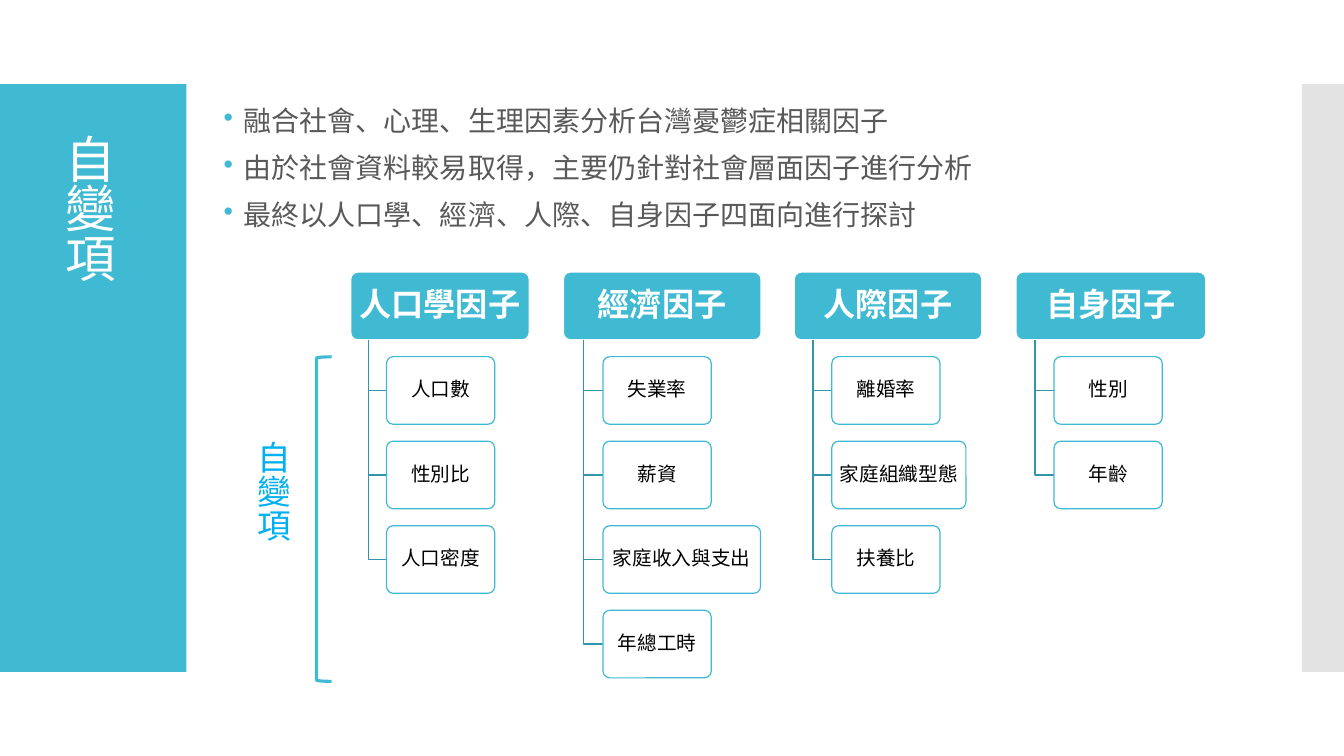
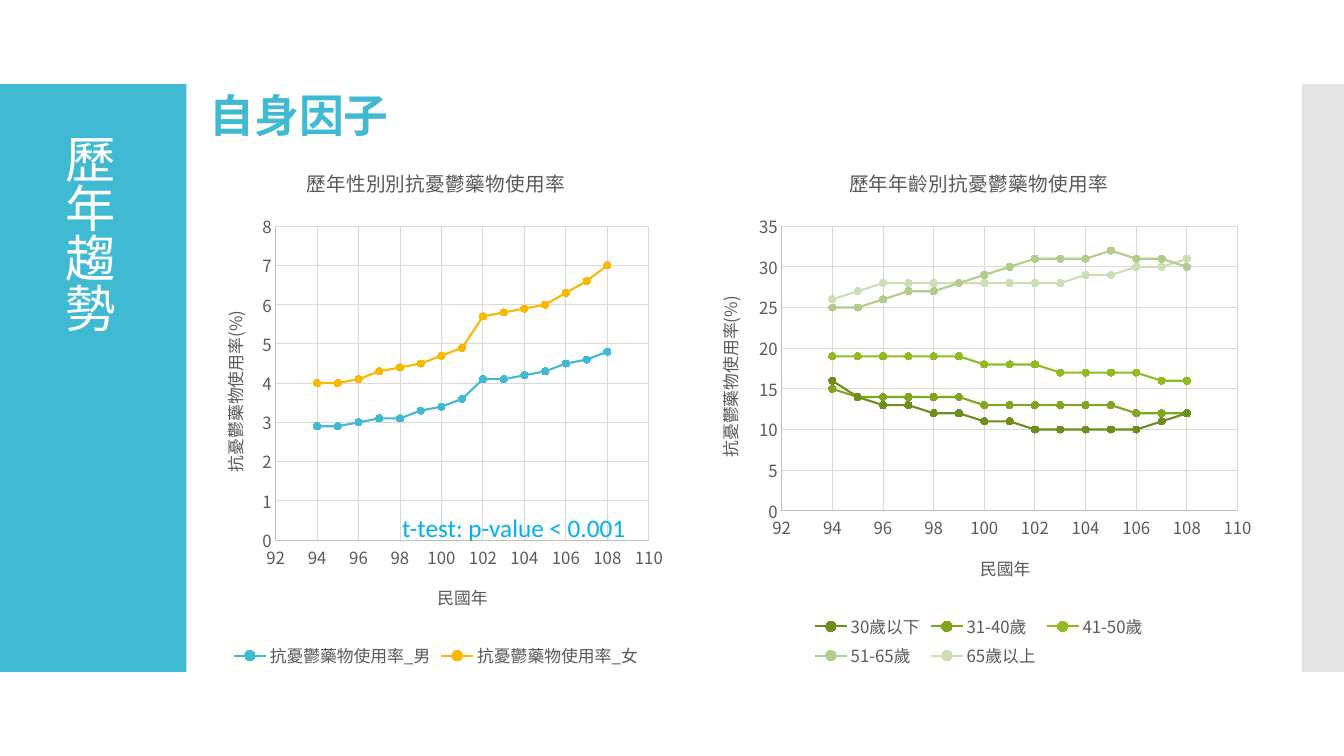
from lxml import etree
from pptx import Presentation
from pptx.chart.data import XyChartData
from pptx.dml.color import RGBColor
from pptx.enum.chart import XL_CHART_TYPE, XL_LEGEND_POSITION, XL_MARKER_STYLE, XL_TICK_MARK
from pptx.enum.shapes import MSO_SHAPE
from pptx.enum.text import MSO_ANCHOR, PP_ALIGN
from pptx.oxml.ns import qn
from pptx.util import Pt

RECTANGLE = MSO_SHAPE.RECTANGLE
ROUNDED = MSO_SHAPE.ROUNDED_RECTANGLE
BRACKET = MSO_SHAPE.LEFT_BRACKET
LEFT, CENTER = PP_ALIGN.LEFT, PP_ALIGN.CENTER
TOP, MIDDLE = MSO_ANCHOR.TOP, MSO_ANCHOR.MIDDLE
SMOOTH_SCATTER = XL_CHART_TYPE.XY_SCATTER_SMOOTH
LEGEND_BOTTOM = XL_LEGEND_POSITION.BOTTOM
CIRCLE = XL_MARKER_STYLE.CIRCLE
NO_TICK = XL_TICK_MARK.NONE

TEAL, DARK_TEAL, SKY, GOLD = "40BAD2", "3395A8", "00B0F0", "FAB900"
WHITE, BLACK, GRAY, BAND_GRAY = "FFFFFF", "000000", "595959", "C8C8C8"
AXIS_GRAY, GRID_GRAY = "BFBFBF", "D9D9D9"
TEXT_FONT, CHART_FONT = "Calibri", "Noto Sans CJK SC"


def color(value):
    """Turn a hex string into a colour."""
    return RGBColor.from_string(value)


def style_font(font, name, size, hex_color, bold=False):
    """Set the face, size, colour and weight of a font."""
    font.name, font.size, font.bold = name, Pt(size), bold
    font.color.rgb = color(hex_color)


def style_line(line, hex_color, width):
    """Set the colour and width of a line."""
    line.color.rgb = color(hex_color)
    line.width = Pt(width)


class Deck:
    """Holds the shared style and the current slide."""

    def __init__(self):
        """Start an empty widescreen presentation."""
        self.presentation = Presentation()
        self.presentation.slide_width = Pt(960)
        self.presentation.slide_height = Pt(540)
        self.slide = None

    def new_slide(self, title):
        """Add a slide with the side bands and a vertical title."""
        layout = self.presentation.slide_layouts[6]
        self.slide = self.presentation.slides.add_slide(layout)
        self.shape(RECTANGLE, 0, 60, 133.2, 420, fill=TEAL)
        self.shape(RECTANGLE, 930, 60, 30, 420, fill=BAND_GRAY, alpha=50)
        self.text(title, 18.7, 88.6, 84.2, 362.2, 36, WHITE, anchor=MIDDLE,
                  vertical=True, line_spacing=0.9, tracking=-0.6)

    def shape(self, kind, left, top, width, height, fill=None, line=None,
              line_width=0.85, alpha=None, adjust=None):
        """Add a preset shape."""
        shape = self.slide.shapes.add_shape(kind, Pt(left), Pt(top), Pt(width), Pt(height))
        shape.shadow.inherit = False
        if adjust is not None:
            shape.adjustments[0] = adjust
        if fill:
            shape.fill.solid()
            shape.fill.fore_color.rgb = color(fill)
        else:
            shape.fill.background()
        if alpha is not None:
            fill_color = shape._element.spPr.find(".//" + qn("a:srgbClr"))
            etree.SubElement(fill_color, qn("a:alpha"), val=str(alpha * 1000))
        if line:
            style_line(shape.line, line, line_width)
        else:
            shape.line.fill.background()
        return shape

    def run(self, paragraph, text, size, hex_color, bold=False, tracking=None):
        """Add one styled run to a paragraph."""
        run = paragraph.add_run()
        run.text = text
        style_font(run.font, TEXT_FONT, size, hex_color, bold)
        if tracking is not None:
            run._r.get_or_add_rPr().set("spc", str(round(tracking * 100)))

    def text(self, text, left, top, width, height, size, hex_color, bold=False,
             anchor=TOP, vertical=False, wrap=True, line_spacing=None, tracking=None):
        """Add a one-paragraph text box."""
        box = self.slide.shapes.add_textbox(Pt(left), Pt(top), Pt(width), Pt(height))
        frame = box.text_frame
        frame.word_wrap, frame.vertical_anchor = wrap, anchor
        if vertical:
            frame._txBody.bodyPr.set("vert", "eaVert")
        paragraph = frame.paragraphs[0]
        paragraph.alignment = LEFT
        paragraph.line_spacing = line_spacing
        self.run(paragraph, text, size, hex_color, bold, tracking)

    def bullets(self, lines, left, top, width, height):
        """Add a bulleted list."""
        box = self.slide.shapes.add_textbox(Pt(left), Pt(top), Pt(width), Pt(height))
        frame = box.text_frame
        frame.word_wrap, frame.vertical_anchor = True, MIDDLE
        for index, line in enumerate(lines):
            paragraph = frame.add_paragraph() if index else frame.paragraphs[0]
            paragraph.line_spacing, paragraph.space_before = 0.9, Pt(12)
            properties = paragraph._p.get_or_add_pPr()
            properties.set("marL", str(Pt(14.4)))
            properties.set("indent", str(-Pt(14.4)))
            bullet_color = etree.SubElement(properties, qn("a:buClr"))
            etree.SubElement(bullet_color, qn("a:srgbClr"), val=TEAL)
            etree.SubElement(properties, qn("a:buChar"), char="•")
            self.run(paragraph, line, 20, GRAY)

    def node(self, text, left, top, width, height, fill, line, size, hex_color, bold=False):
        """Add a rounded box with centred text."""
        shape = self.shape(ROUNDED, left, top, width, height, fill, line, adjust=0.1)
        frame = shape.text_frame
        frame.word_wrap, frame.vertical_anchor = True, MIDDLE
        frame.margin_left = frame.margin_right = Pt(2)
        frame.margin_top = frame.margin_bottom = Pt(2)
        paragraph = frame.paragraphs[0]
        paragraph.alignment, paragraph.line_spacing = CENTER, 0.9
        self.run(paragraph, text, size, hex_color, bold)

    def elbow(self, left, top, right, bottom):
        """Draw a line down and then to the right."""
        builder = self.slide.shapes.build_freeform(Pt(left), Pt(top))
        builder.add_line_segments(
            [(Pt(left), Pt(bottom)), (Pt(right), Pt(bottom))], close=False)
        shape = builder.convert_to_shape()
        shape.shadow.inherit = False
        shape.fill.background()
        style_line(shape.line, DARK_TEAL, 0.85)

    def branch(self, heading, left, width, leaves):
        """Add a heading with its leaves hanging below."""
        top, height, leaf_width = 194.4, 48.3, 77.3
        trunk, leaf_left = left + 0.1 * width, left + 0.2 * width
        self.node(heading, left, top, width, height, TEAL, WHITE, 23, WHITE, True)
        for row, (leaf, extra) in enumerate(leaves, 1):
            leaf_top = top + row * 1.25 * height
            self.elbow(trunk, top + height, leaf_left, leaf_top + height / 2)
            self.node(leaf, leaf_left, leaf_top, leaf_width + extra, height,
                      WHITE, TEAL, 14, BLACK)

    def chart_title(self, owner, text, size):
        """Write the title of a chart or an axis."""
        paragraph = owner.text_frame.paragraphs[0]
        run = paragraph.add_run()
        run.text = text
        style_font(run.font, CHART_FONT, size, GRAY)

    def axis(self, axis, title, low, high, step):
        """Scale and style one chart axis."""
        axis.minimum_scale, axis.maximum_scale, axis.major_unit = low, high, step
        axis.major_tick_mark = axis.minor_tick_mark = NO_TICK
        axis.has_major_gridlines = True
        style_line(axis.major_gridlines.format.line, GRID_GRAY, 0.75)
        style_line(axis.format.line, AXIS_GRAY, 0.75)
        style_font(axis.tick_labels.font, CHART_FONT, 12, GRAY)
        self.chart_title(axis.axis_title, title, 12)

    def scatter(self, title, left, width, high, step, series_rows):
        """Add a smooth scatter chart of usage rate by year."""
        data = XyChartData()
        for name, _, values in series_rows:
            series = data.add_series(name)
            for year, value in enumerate(values, 94):
                series.add_data_point(year, value)
        chart = self.slide.shapes.add_chart(
            SMOOTH_SCATTER, Pt(left), Pt(105.1), Pt(width), Pt(375.1), data).chart
        style_font(chart.font, CHART_FONT, 12, GRAY)
        chart.has_title = True
        self.chart_title(chart.chart_title, title, 14)
        chart.chart_title.include_in_layout = False
        chart.has_legend = True
        chart.legend.position = LEGEND_BOTTOM
        chart.legend.include_in_layout = False
        style_font(chart.legend.font, CHART_FONT, 12, GRAY)
        self.axis(chart.category_axis, "民國年", 92, 110, 2)
        self.axis(chart.value_axis, "抗憂鬱藥物使用率(%)", 0, high, step)
        plot = chart.plots[0]
        plot.vary_by_categories = False
        for series, (_, hex_color, _) in zip(plot.series, series_rows):
            series.smooth = True
            style_line(series.format.line, hex_color, 1.5)
            marker = series.marker
            marker.style, marker.size = CIRCLE, 5
            marker.format.fill.solid()
            marker.format.fill.fore_color.rgb = color(hex_color)
            style_line(marker.format.line, hex_color, 0.75)


def factor_slide(deck):
    """Build the slide of independent variables."""
    deck.new_slide("自變項")
    deck.bullets([
        "融合社會、心理、生理因素分析台灣憂鬱症相關因子",
        "由於社會資料較易取得，主要仍針對社會層面因子進行分析",
        "最終以人口學、經濟、人際、自身因子四面向進行探討",
    ], 152.6, 67.7, 727.9, 106.8)
    deck.branch("人口學因子", 250.6, 127.4,
                [("人口數", 0), ("性別比", 0), ("人口密度", 0)])
    deck.branch("經濟因子", 402.5, 141.1,
                [("失業率", 0), ("薪資", 0), ("家庭收入與支出", 35.3), ("年總工時", 0)])
    deck.branch("人際因子", 567.4, 133.9,
                [("離婚率", 0), ("家庭組織型態", 18.5), ("扶養比", 0)])
    deck.branch("自身因子", 725.8, 135.4, [("性別", 0), ("年齡", 0)])
    deck.shape(BRACKET, 226.1, 254.9, 10.8, 231.8, line=TEAL, line_width=2.25)
    deck.text("自變項", 169.2, 308.2, 43.9, 79.9, 24, SKY, vertical=True, wrap=False)


def trend_slide(deck):
    """Build the slide of yearly trends."""
    deck.new_slide("歷年趨勢")
    deck.scatter("歷年性別別抗憂鬱藥物使用率", 142.6, 337.7, 8, 1, [
        ("抗憂鬱藥物使用率_男", TEAL,
         [2.9, 2.9, 3, 3.1, 3.1, 3.3, 3.4, 3.6, 4.1, 4.1, 4.2, 4.3, 4.5, 4.6, 4.8]),
        ("抗憂鬱藥物使用率_女", GOLD,
         [4, 4, 4.1, 4.3, 4.4, 4.5, 4.7, 4.9, 5.7, 5.8, 5.9, 6, 6.3, 6.6, 7]),
    ])
    deck.scatter("歷年年齡別抗憂鬱藥物使用率", 496.1, 406.1, 35, 5, [
        ("30歲以下", "6D8E1B", [16, 14, 13, 13, 12, 12, 11, 11, 10, 10, 10, 10, 10, 11, 12]),
        ("31-40歲", "80A61F", [15, 14, 14, 14, 14, 14, 13, 13, 13, 13, 13, 13, 12, 12, 12]),
        ("41-50歲", "90BB23", [19, 19, 19, 19, 19, 19, 18, 18, 18, 17, 17, 17, 17, 16, 16]),
        ("51-65歲", "B2CD89", [25, 25, 26, 27, 27, 28, 29, 30, 31, 31, 31, 32, 31, 31, 30]),
        ("65歲以上", "CDDEB7", [26, 27, 28, 28, 28, 28, 28, 28, 28, 28, 29, 29, 30, 30, 31]),
    ])
    deck.text("自身因子", 142.6, 59, 149, 46.1, 32, TEAL, bold=True)
    deck.text("t-test: p-value < 0.001", 280.1, 362.2, 177.8, 28.8, 18, SKY, wrap=False)


deck = Deck()
factor_slide(deck)
trend_slide(deck)
deck.presentation.save("out.pptx")
